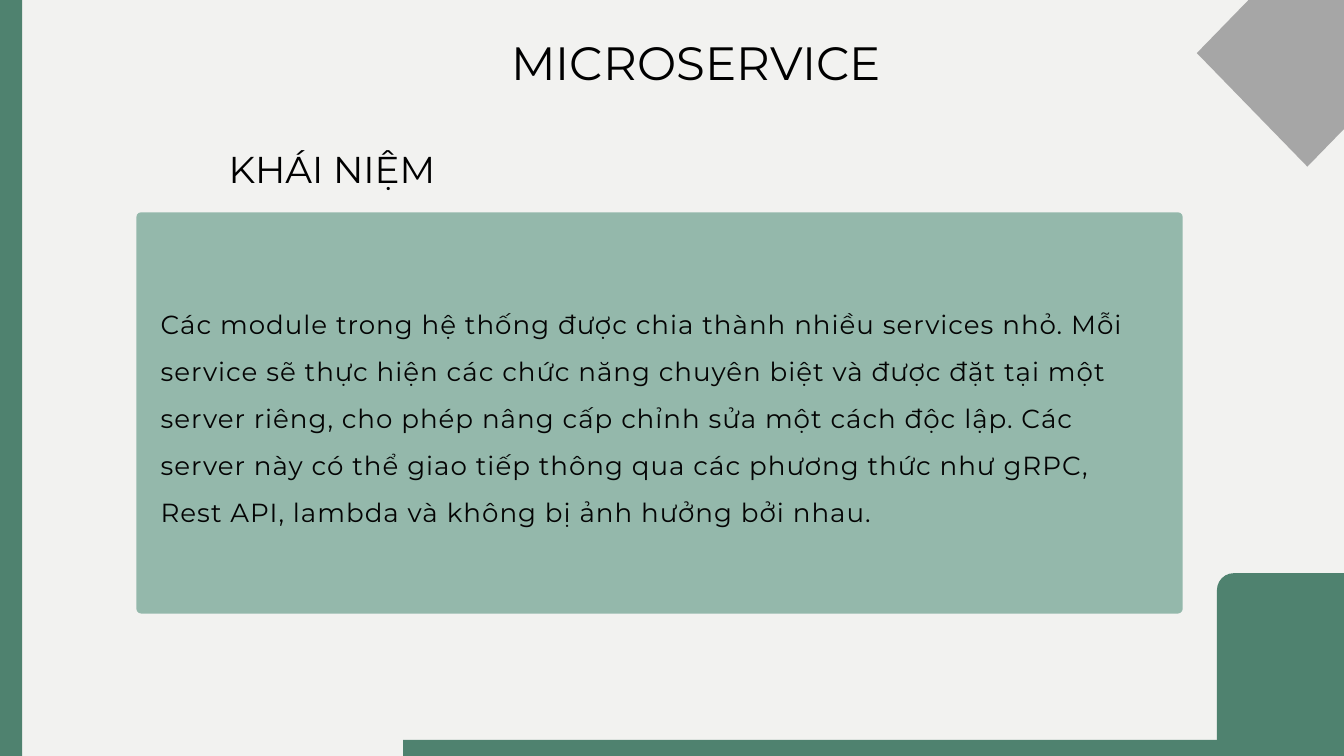
import pptx
import pptx.dml.color
import pptx.enum.shapes
import pptx.enum.text
import pptx.util
from pptx.util import Inches

SHAPE = pptx.enum.shapes.MSO_SHAPE
ALIGN = pptx.enum.text.PP_ALIGN
GREEN, PALE_GREEN, GRAY = "4F826F", "94B8AB", "A6A6A6"


def set_color(fill, color):
    fill.solid()
    fill.fore_color.rgb = pptx.dml.color.RGBColor.from_string(color)


def write_text(placeholder, text, box, size, line_spacing, alignment, color, top_inset=0):
    placeholder.left, placeholder.top, placeholder.width, placeholder.height = map(Inches, box)
    frame = placeholder.text_frame
    frame.text = text
    paragraph = frame.paragraphs[0]
    run = paragraph.runs[0]
    frame_format = {
        "margin_left": 0, "margin_right": 0, "margin_bottom": 0,
        "margin_top": Inches(top_inset), "word_wrap": True,
        "auto_size": pptx.enum.text.MSO_AUTO_SIZE.NONE,
        "vertical_anchor": pptx.enum.text.MSO_ANCHOR.TOP,
    }
    paragraph_format = {
        "alignment": alignment, "line_spacing": pptx.util.Pt(line_spacing),
        "space_before": pptx.util.Pt(0), "space_after": pptx.util.Pt(0),
    }
    font_format = {"name": "Montserrat", "size": pptx.util.Pt(size), "bold": False}
    for target, values in ((frame, frame_format), (paragraph, paragraph_format),
                           (run.font, font_format)):
        for name, value in values.items():
            setattr(target, name, value)
    set_color(run.font.fill, color)

    # No bullet and no hanging indent
    properties = paragraph._p.get_or_add_pPr()
    properties.set("marL", "0")
    properties.set("indent", "0")
    properties.append(pptx.oxml.parse_xml(
        '<a:buNone xmlns:a="http://schemas.openxmlformats.org/drawingml/2006/main"/>'))
    return run


presentation = pptx.Presentation()
presentation.slide_width, presentation.slide_height = Inches(20), Inches(11.25)
slide = presentation.slides.add_slide(presentation.slide_layouts.get_by_name("Two Content"))
set_color(slide.background.fill, "F2F2F0")
title, heading, body = list(slide.placeholders)[:3]

# Decorations and the panel behind the body: kind, box, color, corner radius
decorations = [
    (SHAPE.ROUNDED_RECTANGLE, (18.11, 8.53, 6.96, 3.76), GREEN, 0.25),
    (SHAPE.DIAMOND, (17.81, -0.9, 3.29, 3.38), GRAY, None),
    (SHAPE.RECTANGLE, (6, 11.01, 12.11, 0.48), GREEN, None),
    (SHAPE.RECTANGLE, (-0.32, -0.67, 0.65, 11.92), GREEN, None),
    (SHAPE.ROUNDED_RECTANGLE, (2.03, 3.16, 15.57, 5.97), PALE_GREEN, 0.07),
]
for kind, box, color, radius in decorations:
    shape = slide.shapes.add_shape(kind, *map(Inches, box))
    shape.shadow.inherit = False
    shape.line.fill.background()
    set_color(shape.fill, color)
    if radius:
        shape.adjustments[0] = radius / min(box[2:])

# Title and section heading
write_text(title, "MICROSERVICE", (7.54, 0.37, 5.64, 0.92), 50, 69.5, ALIGN.CENTER, "000000")
write_text(heading, "KHÁI NIỆM", (3.13, 2.07, 3.62, 0.74), 40, 55.6, ALIGN.CENTER, "000000")

# Body, brought in front of the panel
definition = (
    "Các module trong hệ thống được chia thành nhiều services nhỏ. Mỗi service sẽ "
    "thực hiện các chức năng chuyên biệt và được đặt tại một server riêng, cho phép "
    "nâng cấp chỉnh sửa một cách độc lập. Các server này có thể giao tiếp thông qua "
    "các phương thức như gRPC, Rest API, lambda và không bị ảnh hưởng bởi nhau."
)
run = write_text(body, definition, (2.39, 3.62, 14.85, 4.86), 28, 50.4, ALIGN.LEFT, "040404",
                 top_inset=0.74)
run.font._element.set("spc", "110")
slide.shapes._spTree.append(body.element)

presentation.save("out.pptx")
